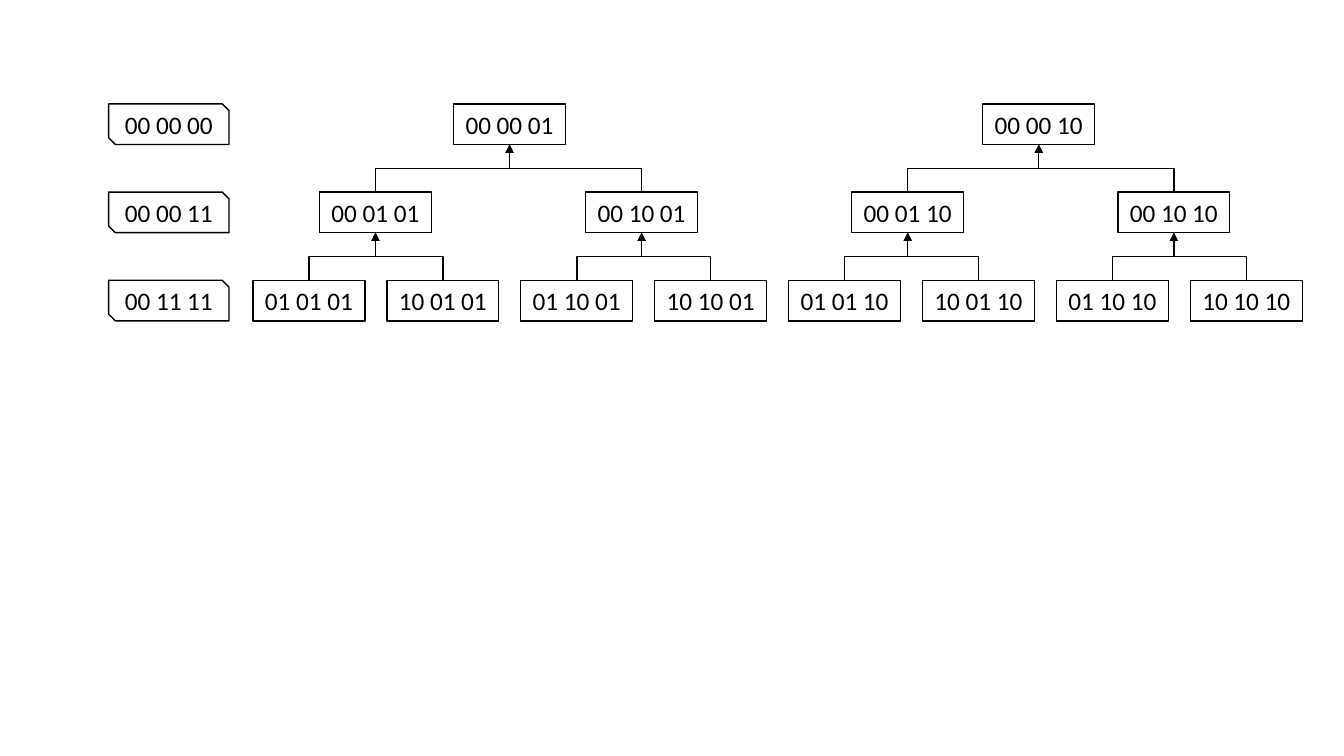
from dataclasses import dataclass

from lxml.etree import SubElement
from pptx import Presentation
from pptx.dml.color import RGBColor
from pptx.enum.shapes import MSO_CONNECTOR as Link, MSO_SHAPE as Preset
from pptx.enum.text import MSO_ANCHOR as Anchor, PP_ALIGN as Align
from pptx.oxml.ns import qn
from pptx.shapes.autoshape import Shape
from pptx.util import Pt

COLORS = {"paper": "FFFFFF", "ink": "000000"}
NODE_WIDTH, LABEL_WIDTH, BOX_HEIGHT = 80, 86, 29
LABEL_LEFT = 77.6
FIRST_TOP, ROW_PITCH = 74.2, 63
TOP_SITE, BOTTOM_SITE = 0, 2


@dataclass(frozen=True)
class Level:
    left: float
    pitch: float


@dataclass(frozen=True)
class Box:
    code: str
    left: float
    row: int
    width: float = NODE_WIDTH
    preset: Preset = Preset.RECTANGLE

    @property
    def top(self) -> float:
        return FIRST_TOP + self.row * ROW_PITCH

    @property
    def center(self) -> float:
        return self.left + self.width / 2


LEVELS = [Level(324, 378), Level(228.2, 190.1), Level(180.7, 95.65)]
ROOTS = ["00 00 01", "00 00 10"]
LABELS = ["00 00 00", "00 00 11", "00 11 11"]


def color(name: str) -> RGBColor:
    return RGBColor.from_string(COLORS[name])


def write(shape: Shape, text: str, *, size: float = 18, font: str = "Calibri",
          ink: str = "ink", align: Align = Align.CENTER) -> None:
    frame = shape.text_frame
    frame.word_wrap = True
    frame.vertical_anchor = Anchor.MIDDLE
    paragraph = frame.paragraphs[0]
    paragraph.alignment = align
    run = paragraph.add_run()
    run.text = text
    run.font.size = Pt(size)
    run.font.name = font
    run.font.color.rgb = color(ink)


def draw_box(box: Box) -> Shape:
    shape = slide.shapes.add_shape(box.preset, Pt(box.left), Pt(box.top),
                                   Pt(box.width), Pt(BOX_HEIGHT))
    shape.shadow.inherit = False
    shape.fill.solid()
    shape.fill.fore_color.rgb = color("paper")
    shape.line.color.rgb = color("ink")
    shape.line.width = Pt(1)
    write(shape, box.code)
    return shape


def draw_branch(child: Box, parent: Box) -> None:
    rise = child.top - parent.top - BOX_HEIGHT
    span = abs(child.center - parent.center)
    middle_x = (child.center + parent.center) / 2
    middle_y = child.top - rise / 2
    branch = slide.shapes.add_connector(Link.ELBOW, 0, 0, 0, 0)
    branch.begin_connect(drawn[child], TOP_SITE)
    branch.end_connect(drawn[parent], BOTTOM_SITE)
    branch.left, branch.top = Pt(middle_x - rise / 2), Pt(middle_y - span / 2)
    branch.width, branch.height = Pt(rise), Pt(span)
    from_left = child.center < parent.center
    properties = branch._element.spPr
    turn = properties.find(qn("a:xfrm"))
    turn.set("rot", str((90 if from_left else 270) * 60000))
    turn.set("flipH", "1" if from_left else "0")
    turn.set("flipV", "1")
    branch.line.color.rgb = color("ink")
    branch.line.width = Pt(1)
    SubElement(branch.line._get_or_add_ln(), qn("a:tailEnd"), type="triangle")
    SubElement(properties, qn("a:effectLst"))


def child_codes(code: str, depth: int) -> list[str]:
    pairs = code.split()
    place = len(pairs) - 1 - depth
    return [" ".join([*pairs[:place], bits, *pairs[place + 1:]])
            for bits in ("01", "10")]


deck = Presentation()
deck.slide_width, deck.slide_height = Pt(960), Pt(540)
slide = deck.slides.add_slide(deck.slide_layouts[6])

tree: list[list[Box]] = []
codes = ROOTS
for depth, level in enumerate(LEVELS):
    if depth:
        codes = [child for code in codes for child in child_codes(code, depth)]
    tree.append([Box(code, level.left + index * level.pitch, depth)
                 for index, code in enumerate(codes)])

drawn = {node: draw_box(node) for row in tree for node in row}
for row, label in enumerate(LABELS):
    draw_box(Box(label, LABEL_LEFT, row, LABEL_WIDTH,
                 Preset.SNIP_2_DIAG_RECTANGLE))
for parents, children in zip(tree, tree[1:]):
    for index, child in enumerate(children):
        draw_branch(child, parents[index // 2])

deck.save("out.pptx")
